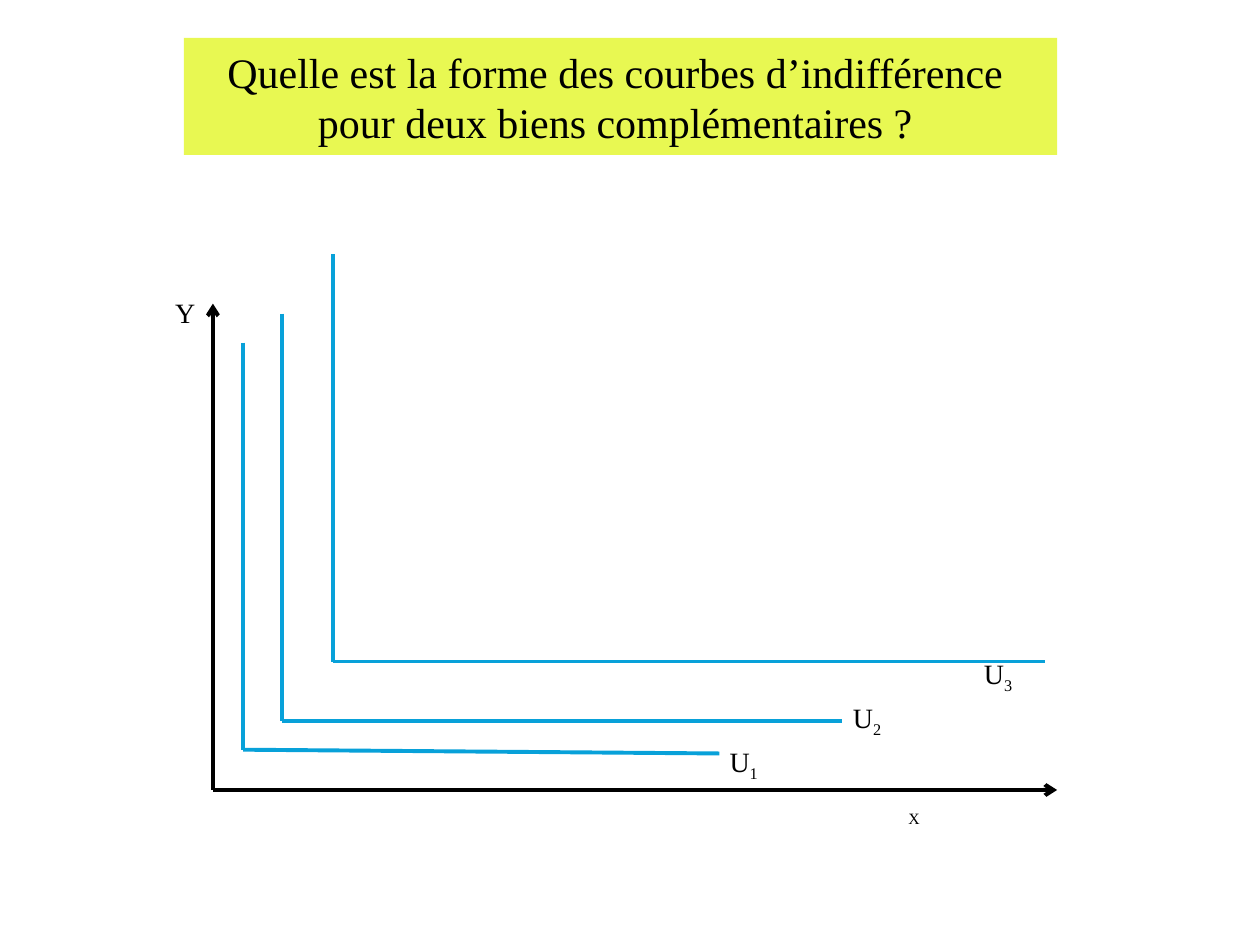
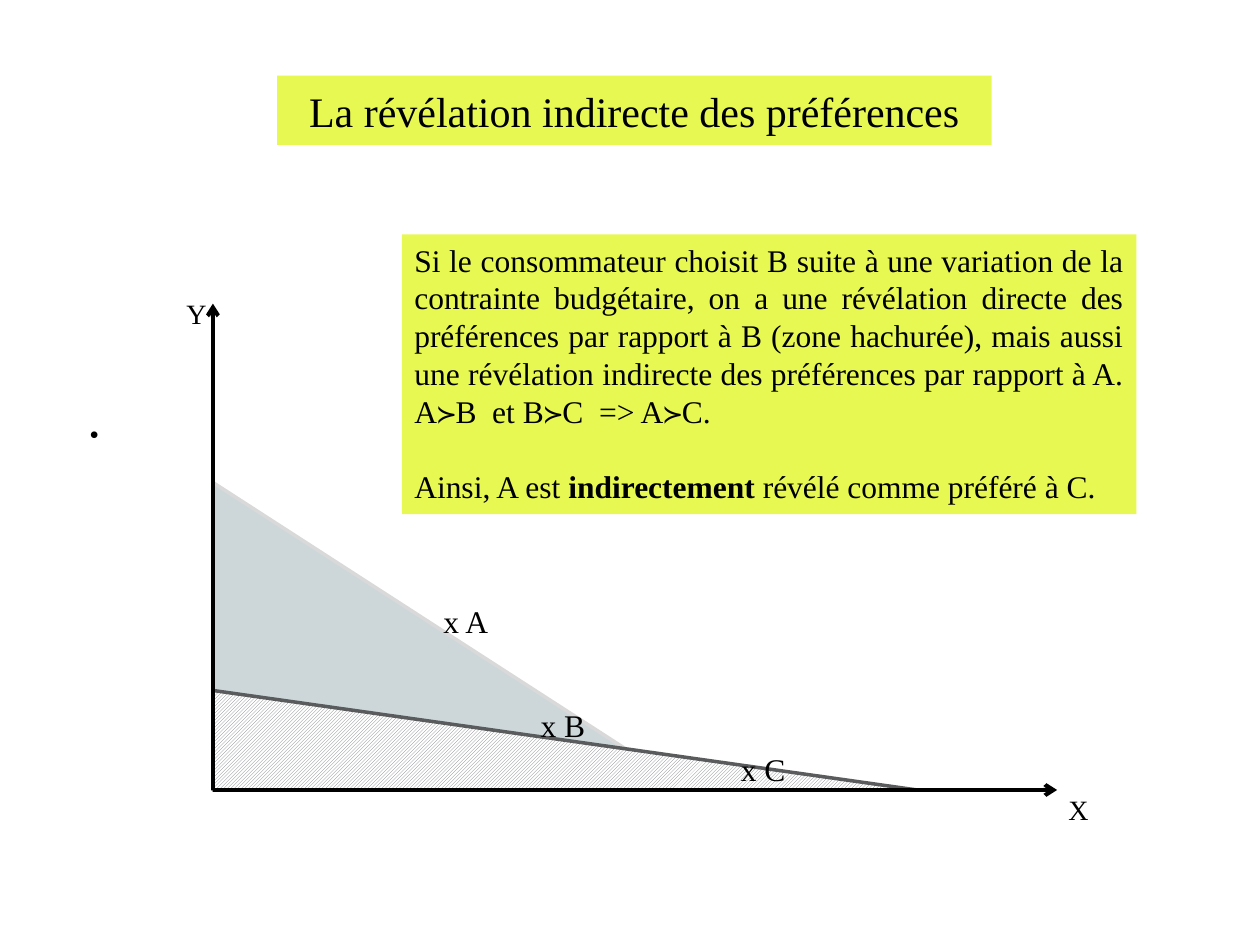
from dataclasses import dataclass

from lxml import etree
from pptx import Presentation
from pptx import util as u
from pptx.dml.color import RGBColor
from pptx.enum import dml, shapes, text
from pptx.oxml import ns

COLUMNS = 100
ROWS = 75
ORIGIN = (16.9, 62.7)
AXIS_TOP, AXIS_RIGHT = 24.1, 83.9


@dataclass(frozen=True)
class Theme:
    """Hold the colours and type sizes that the slides share."""
    font: str = "Times New Roman"
    ink: str = "000000"
    band: str = "E8F852"
    curve: str = "08A1D9"
    first_zone: str = "CDD7D9"
    first_edge: str = "D9D9D9"
    hatch: str = "797B7E"
    paper: str = "FFFFFF"
    second_edge: str = "5A5B5D"
    title: int = 24
    body: int = 18
    axis: int = 16
    small: int = 9
    stroke: float = 2.25
    edge: float = 2
    pitch: float = 1.2


THEME = Theme()


def color(value):
    """Turn a hexadecimal value into a colour."""
    return RGBColor.from_string(value)


def cells(*counts):
    """Convert counts of square grid cells to slide lengths."""
    return [u.Inches(count * 10 / COLUMNS) for count in counts]


def write_text(para, content, *, size=THEME.body, bold=False, subscript=False):
    """Append formatted text to a paragraph, breaking at newlines."""
    for index, line in enumerate(content.split("\n")):
        if index:
            para.add_line_break()
        span = para.add_run()
        span.text = line
        span.font.name = THEME.font
        span.font.size = u.Pt(size)
        span.font.bold = bold
        span.font.color.rgb = color(THEME.ink)
        if subscript:
            span.font._element.set("baseline", "-25000")


def set_frame(box, *, anchor=text.MSO_ANCHOR.MIDDLE, margins=(0.1, 0.05), wrap=True):
    """Set the anchoring, margins and wrapping of a box."""
    frame = box.text_frame
    frame.auto_size = text.MSO_AUTO_SIZE.NONE
    frame.word_wrap = wrap
    frame.vertical_anchor = anchor
    frame.margin_left = frame.margin_right = u.Inches(margins[0])
    frame.margin_top = frame.margin_bottom = u.Inches(margins[1])
    return frame


def fill_band(box):
    """Give a box the shared band colour without an outline."""
    box.fill.solid()
    box.fill.fore_color.rgb = color(THEME.band)
    box.line.fill.background()


def add_page(deck, title, area):
    """Add a title-only slide with its title on a coloured band."""
    page = deck.slides.add_slide(deck.slide_layouts[5])
    box = page.shapes.title
    box.left, box.top, box.width, box.height = cells(*area)
    fill_band(box)
    para = set_frame(box).paragraphs[0]
    para.alignment = text.PP_ALIGN.CENTER
    para.line_spacing = u.Pt(THEME.title * THEME.pitch)
    write_text(para, title, size=THEME.title)
    return page


def add_line(page, start, end, line_color, *, arrow=False):
    """Draw a straight line between two grid points."""
    line = page.shapes.add_connector(
        shapes.MSO_CONNECTOR.STRAIGHT, *cells(*start, *end))
    line.line.color.rgb = color(line_color)
    line.line.width = u.Pt(THEME.stroke)
    properties = line._element.spPr
    if arrow:
        etree.SubElement(properties.find(ns.qn("a:ln")), ns.qn("a:tailEnd"), type="arrow")
    etree.SubElement(properties, ns.qn("a:effectLst"))


def add_axes(page):
    """Draw the vertical and horizontal axes from the origin."""
    for end in ((ORIGIN[0], AXIS_TOP), (AXIS_RIGHT, ORIGIN[1])):
        add_line(page, ORIGIN, end, THEME.ink, arrow=True)


def add_label(page, content, left, middle, *, size=THEME.axis, index=""):
    """Place a short label by its left edge and vertical middle."""
    width, height = 6, 4
    box = page.shapes.add_textbox(*cells(left, middle - height / 2, width, height))
    para = set_frame(box, margins=(0, 0), wrap=False).paragraphs[0]
    write_text(para, content, size=size)
    if index:
        write_text(para, index, size=size, subscript=True)


def add_curve(page, corner, end, *, rise=32.3):
    """Draw an L-shaped indifference curve from its corner."""
    add_line(page, (corner[0], corner[1] - rise), corner, THEME.curve)
    add_line(page, corner, end, THEME.curve)


def add_zone(page, width, height, edge):
    """Add a right triangle standing on the origin."""
    zone = page.shapes.add_shape(
        shapes.MSO_SHAPE.RIGHT_TRIANGLE,
        *cells(ORIGIN[0], ORIGIN[1] - height, width, height))
    zone.shadow.inherit = False
    zone.line.color.rgb = color(edge)
    zone.line.width = u.Pt(THEME.edge)
    return zone


def add_note(page, area, paragraphs):
    """Add a justified note of (space before in lines, spans) paragraphs."""
    box = page.shapes.add_shape(shapes.MSO_SHAPE.RECTANGLE, *cells(*area))
    box.shadow.inherit = False
    fill_band(box)
    frame = set_frame(box, anchor=text.MSO_ANCHOR.TOP)
    pitch = THEME.body * THEME.pitch
    for number, (gap, spans) in enumerate(paragraphs):
        para = frame.add_paragraph() if number else frame.paragraphs[0]
        para.alignment = text.PP_ALIGN.JUSTIFY
        para.line_spacing = u.Pt(pitch)
        para.space_before = u.Pt(gap * pitch)
        for content, bold in spans:
            write_text(para, content, bold=bold)


def add_complements_page(deck):
    """Build the slide on indifference curves for complements."""
    page = add_page(
        deck,
        "Quelle est la forme des courbes d’indifférence \n"
        "pour deux biens complémentaires ? ",
        (14.6, 3, 69.3, 9.3))
    add_axes(page)
    curves = (
        ("1", (19.3, 59.5), (57.1, 59.8), (57.9, 60.6)),
        ("2", (22.4, 57.2), (66.8, 57.2), (67.7, 57.1)),
        ("3", (26.4, 52.5), (82.9, 52.5), (78.1, 53.6)),
    )
    for index, corner, end, place in curves:
        add_curve(page, corner, end)
        add_label(page, "U", *place, index=index)
    add_label(page, "Y", 13.9, 24.8)
    add_label(page, "X", 72.1, 64.9, size=THEME.small)


def add_preferences_page(deck):
    """Build the slide on indirectly revealed preferences."""
    page = add_page(deck, "La révélation indirecte des préférences", (22, 6, 56.7, 5.5))
    first = add_zone(page, 37.8, 24.4, THEME.first_edge)
    first.fill.solid()
    first.fill.fore_color.rgb = color(THEME.first_zone)
    second = add_zone(page, 55.9, 7.9, THEME.second_edge)
    second.fill.patterned()
    second.fill.pattern = dml.MSO_PATTERN.LIGHT_UPWARD_DIAGONAL
    second.fill.fore_color.rgb = color(THEME.hatch)
    second.fill.back_color.rgb = color(THEME.paper)
    add_axes(page)
    add_note(page, (31.9, 18.6, 58.3, 22.2), (
        (0, (("Si le consommateur choisit B suite à une variation de la contrainte "
              "budgétaire, on a une révélation directe des préférences par rapport "
              "à B (zone hachurée), mais aussi une révélation indirecte des "
              "préférences par rapport à A. ", False),)),
        (0, (("A≻B  et B≻C  => A≻C.", False),)),
        (1, (("Ainsi, A est", False), (" indirectement ", True),
             ("révélé comme préféré à C. ", False))),
    ))
    for content, left, middle, size in (
        ("Y", 14.8, 24.9, THEME.axis),
        ("X", 84.8, 64.2, THEME.axis),
        ("•", 7.1, 34.4, THEME.axis),
        ("x A", 35.2, 49.3, THEME.body),
        ("x B", 42.9, 57.5, THEME.body),
        ("x C", 58.8, 61, THEME.body),
    ):
        add_label(page, content, left, middle, size=size)


def main():
    """Build and save the two slides."""
    deck = Presentation()
    deck.slide_width, deck.slide_height = cells(COLUMNS, ROWS)
    add_complements_page(deck)
    add_preferences_page(deck)
    deck.save("out.pptx")


if __name__ == "__main__":
    main()
